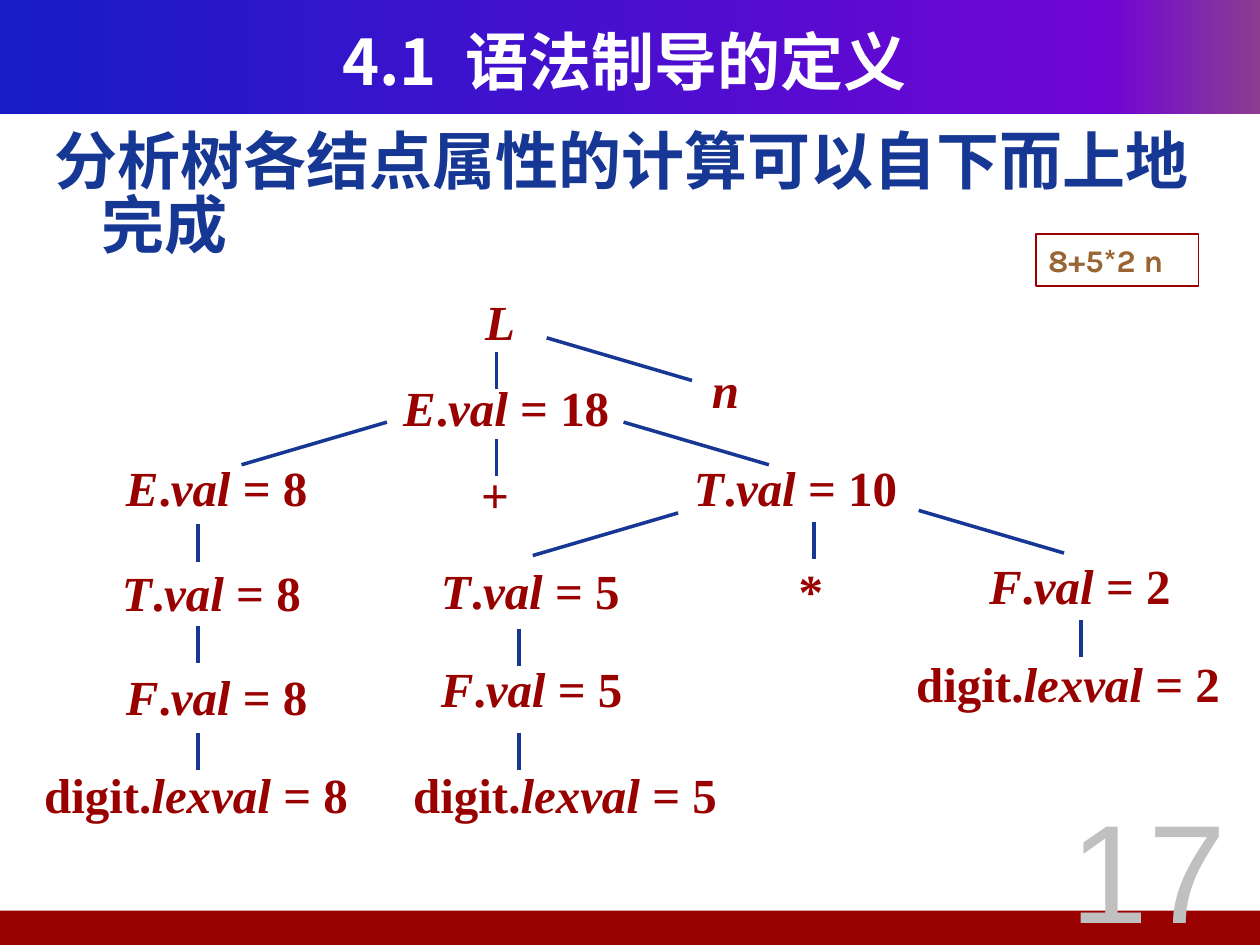
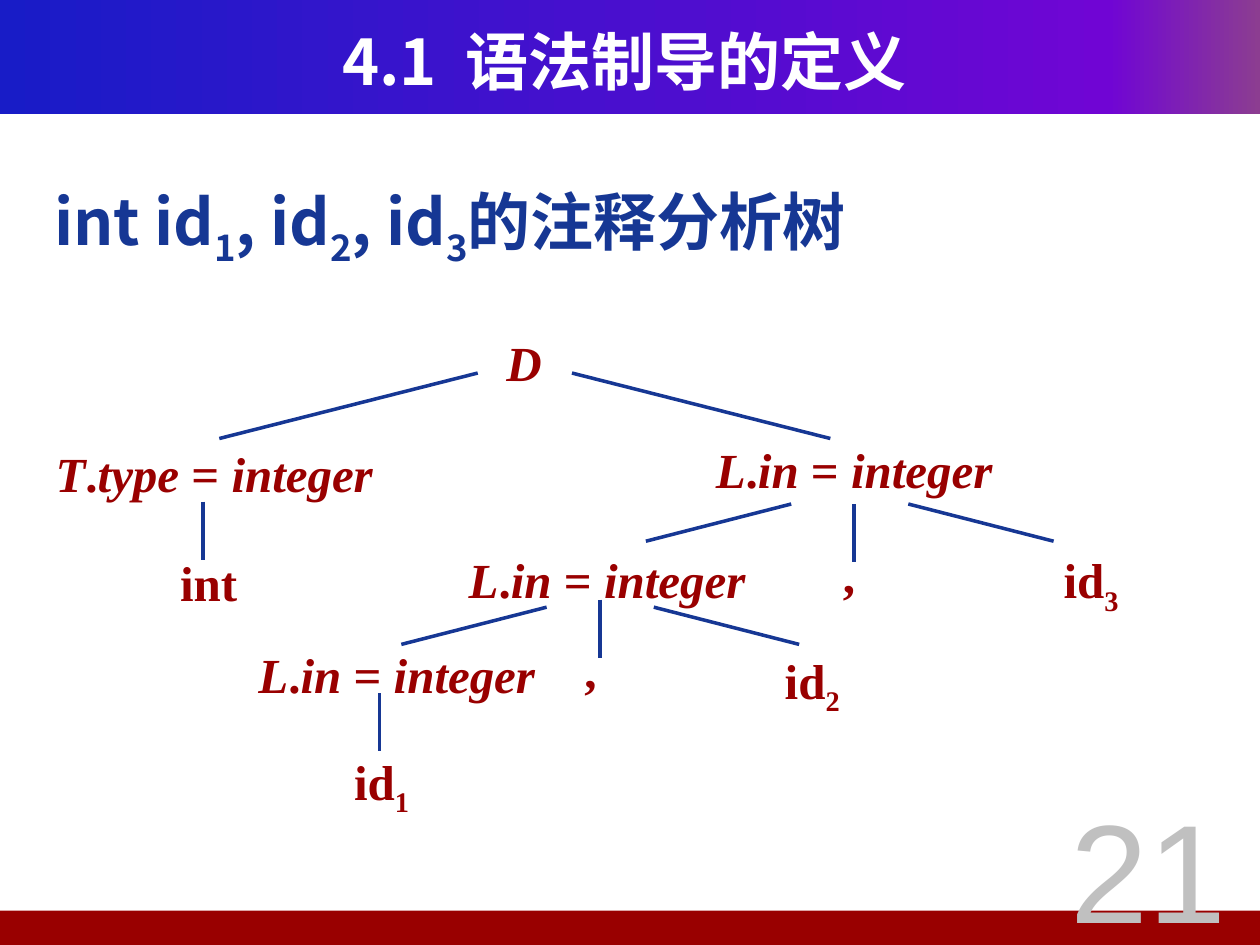
import copy
from dataclasses import dataclass

import lxml.etree
import pptx
import pptx.dml.color
import pptx.enum.shapes
import pptx.enum.text
import pptx.oxml.ns
import pptx.util

Cm = pptx.util.Cm
Pt = pptx.util.Pt
Align = pptx.enum.text.PP_ALIGN
Anchor = pptx.enum.text.MSO_ANCHOR
RECTANGLE = pptx.enum.shapes.MSO_SHAPE.RECTANGLE


@dataclass(frozen=True)
class Theme:
    white: str = "FFFFFF"
    blue: str = "163794"
    red: str = "990000"
    brown: str = "996633"
    grey: str = "C0C0C0"
    band_stops: tuple = ((0, "181CC7"), (0.88, "7005D4"), (1, "8C3D91"))
    heading_font: str = "Noto Sans CJK SC"
    tree_font: str = "Times New Roman"
    number_font: str = "Arial"
    input_font: str = "Karla"
    heading_size: int = 36
    tree_size: int = 28
    input_size: int = 18
    number_size: int = 80


THEME = Theme()
TITLE = "4.1  语法制导的定义"

# Widths of the tree labels, in centimetres
SYMBOL, IDENTIFIER, VALUE, LEAF = 1.09, 2.51, 4.29, 6.6

# Tree labels: text, left, top, width, optional alignment
EXPRESSION_LABELS = [
    ("/L/", 9.73, 5.72, SYMBOL),
    ("/E/./val /= 18", 8.08, 7.47, VALUE),
    ("/n/", 14.3, 7.09, SYMBOL),
    ("/E/./val /= 8", 2.49, 9.07, VALUE),
    ("+", 9.65, 9.22, SYMBOL),
    ("/T/./val /= 10", 13.94, 9.07, VALUE),
    ("/T/./val /= 8", 2.41, 11.2, VALUE),
    ("/T/./val /= 5", 8.84, 11.15, VALUE),
    ("*", 16.05, 11.15, SYMBOL),
    ("/F/./val /= 2", 19.89, 11.05, VALUE),
    ("/F/./val /= 8", 2.49, 13.28, VALUE),
    ("/F/./val /= 5", 8.84, 13.13, VALUE),
    ("digit./lexval /= 2", 18.42, 13.03, LEAF),
    ("digit./lexval /= 8", 0.84, 15.27, LEAF),
    ("digit./lexval /= 5", 8.28, 15.27, LEAF),
]
DECLARATION_LABELS = [
    ("/D/", 10.16, 6.55, SYMBOL),
    ("/T/./type /= /integer/", 1.07, 8.79, LEAF),
    ("/L/./in /= /integer/", 14.38, 8.71, LEAF),
    ("int", 2.49, 11, 3.43, Align.CENTER),
    ("/L/./in /= /integer/", 9.4, 10.92, LEAF),
    (",", 16.94, 10.82, SYMBOL),
    ("id_3_", 21.39, 10.92, IDENTIFIER),
    ("/L/./in /= /integer/", 5.16, 12.85, LEAF),
    (",", 11.73, 12.75, SYMBOL),
    ("id_2_", 15.77, 12.95, IDENTIFIER),
    ("id_1_", 7.09, 14.99, IDENTIFIER),
]

# Branches: (horizontal run, vertical drop) -> upper ends
EXPRESSION_BRANCHES = {
    (2.93, 0.86): [(11.02, 6.81), (12.57, 8.51), (18.52, 10.29)],
    (-2.93, 0.86): [(7.8, 8.51), (13.67, 10.34)],
    (0, 0.75): [(10.01, 7.09), (10.01, 8.84), (3.99, 10.57), (3.99, 12.62),
                (3.99, 14.78), (16.41, 10.52), (10.46, 12.67),
                (10.46, 14.78), (21.79, 12.5)],
}
DECLARATION_BRANCHES = {
    (-5.21, 1.32): [(9.63, 7.52)],
    (5.21, 1.32): [(11.53, 7.52)],
    (2.93, 0.75): [(18.31, 10.16), (13.18, 12.24)],
    (-2.93, 0.75): [(15.95, 10.16), (11.02, 12.24)],
    (0, 1.17): [(4.09, 10.11), (17.22, 10.16), (12.09, 12.09), (7.65, 13.97)],
}


def rgb(color):
    return pptx.dml.color.RGBColor.from_string(color)


def add_element(parent, tag, **attributes):
    return lxml.etree.SubElement(parent, pptx.oxml.ns.qn(tag), attributes)


def write_text(shape, text, *, font, size, color, bold=True, align=Align.LEFT,
               anchor=Anchor.TOP, spacing=1.0, insets=(0.25, 0.13)):
    """Fill a shape; /slashes/ mark italics and _underscores_ subscripts."""
    frame = shape.text_frame
    frame.word_wrap = True
    frame.auto_size = pptx.enum.text.MSO_AUTO_SIZE.NONE
    frame.vertical_anchor = anchor
    frame.margin_left = frame.margin_right = Cm(insets[0])
    frame.margin_top = frame.margin_bottom = Cm(insets[1])
    paragraph = frame.paragraphs[0]
    paragraph.alignment = align
    paragraph.line_spacing = spacing
    paragraph.space_before = Pt(0)
    for slash_index, part in enumerate(text.split("/")):
        for bar_index, piece in enumerate(part.split("_")):
            if not piece:
                continue
            run = paragraph.add_run()
            run.text = piece
            run.font.name = font
            run.font.size = Pt(size)
            run.font.bold = bold
            run.font.italic = slash_index % 2 == 1
            run.font.color.rgb = rgb(color)
            properties = run._r.get_or_add_rPr()
            add_element(properties, "a:ea", typeface=font)
            if bar_index % 2:
                properties.set("baseline", "-25000")
    return paragraph


def place(shape, left, top, width, height):
    shape.left, shape.top = Cm(left), Cm(top)
    shape.width, shape.height = Cm(width), Cm(height)


def add_text_box(slide, text, left, top, width, height, **text_format):
    box = slide.shapes.add_textbox(Cm(left), Cm(top), Cm(width), Cm(height))
    write_text(box, text, **text_format)


def add_rectangle(slide, left, top, width, height):
    rectangle = slide.shapes.add_shape(
        RECTANGLE, Cm(left), Cm(top), Cm(width), Cm(height))
    rectangle.shadow.inherit = False
    rectangle.line.fill.background()
    return rectangle


def fill_with_gradient(shape, stops):
    shape.fill.gradient()
    shape.fill.gradient_angle = 0
    stop_list = shape.element.xpath(".//a:gsLst")[0]
    stop_list.append(copy.deepcopy(stop_list[-1]))
    for stop, (position, color) in zip(shape.fill.gradient_stops, stops):
        stop.position = position
        stop.color.rgb = rgb(color)


def move_bands_to_layout(slide):
    """Draw the top and bottom bands, then hand them to the slide's layout."""
    title_band = add_rectangle(slide, 0, 0, 25.4, 2.31)
    fill_with_gradient(title_band, THEME.band_stops)
    footer_band = add_rectangle(slide, -0.1, 18.36, 25.5, 0.69)
    footer_band.fill.solid()
    footer_band.fill.fore_color.rgb = rgb(THEME.red)
    for offset, band in enumerate((title_band, footer_band)):
        band.element.xpath(".//p:cNvPr")[0].set("id", str(100 + offset))
        slide.slide_layout.shapes.element.insert(2 + offset, band.element)


def add_topic_slide(presentation, statement, statement_top, number):
    slide = presentation.slides.add_slide(presentation.slide_layouts[1])
    title, body = slide.placeholders
    heading = dict(font=THEME.heading_font, size=THEME.heading_size)
    place(title, 0.84, 0.43, 23.5, 1.57)
    write_text(title, TITLE, color=THEME.white, align=Align.CENTER,
               anchor=Anchor.MIDDLE, **heading)
    place(body, 0.84, statement_top, 23.93, 14.6)
    paragraph = write_text(body, statement, color=THEME.blue, spacing=0.85,
                           **heading)
    properties = paragraph._p.get_or_add_pPr()
    properties.set("marL", str(Cm(0.95)))
    properties.set("indent", str(-Cm(0.95)))
    add_element(properties, "a:buNone")
    add_text_box(slide, number, 20.9, 15.32, 4.5, 3.61,
                 font=THEME.number_font, size=THEME.number_size,
                 color=THEME.grey, bold=False, align=Align.CENTER, spacing=1.1)
    return slide


def add_branch(slide, start, run, drop):
    left, top = start
    branch = slide.shapes.add_connector(
        pptx.enum.shapes.MSO_CONNECTOR.STRAIGHT,
        Cm(left), Cm(top), Cm(left + run), Cm(top + drop))
    branch.line.color.rgb = rgb(THEME.blue)
    branch.line.width = Pt(2)
    add_element(branch.element.spPr, "a:effectLst")


def add_tree(slide, labels, branches):
    for text, left, top, width, *alignment in labels:
        add_text_box(slide, text, left, top, width, 1.19,
                     font=THEME.tree_font, size=THEME.tree_size,
                     color=THEME.red, spacing=1.1, insets=(0.05, 0.03),
                     align=alignment[0] if alignment else Align.JUSTIFY)
    for (run, drop), starts in branches.items():
        for start in starts:
            add_branch(slide, start, run, drop)


def add_input_box(slide, text):
    box = add_rectangle(slide, 20.88, 4.72, 3.28, 1.04)
    box.fill.background()
    box.line.color.rgb = rgb(THEME.red)
    box.line.width = Pt(1)
    write_text(box, text, font=THEME.input_font, size=THEME.input_size,
               color=THEME.brown, anchor=Anchor.MIDDLE)


def main():
    presentation = pptx.Presentation()
    presentation.slide_width, presentation.slide_height = Cm(25.4), Cm(19.05)

    expression = add_topic_slide(
        presentation, "分析树各结点属性的计算可以自下而上地完成", 2.55, "17")
    move_bands_to_layout(expression)
    add_tree(expression, EXPRESSION_LABELS, EXPRESSION_BRANCHES)
    add_input_box(expression, "8+5*2 n")

    declaration = add_topic_slide(
        presentation, "int id_1_, id_2_, id_3_的注释分析树", 3.65, "21")
    add_tree(declaration, DECLARATION_LABELS, DECLARATION_BRANCHES)

    presentation.save("out.pptx")


if __name__ == "__main__":
    main()
